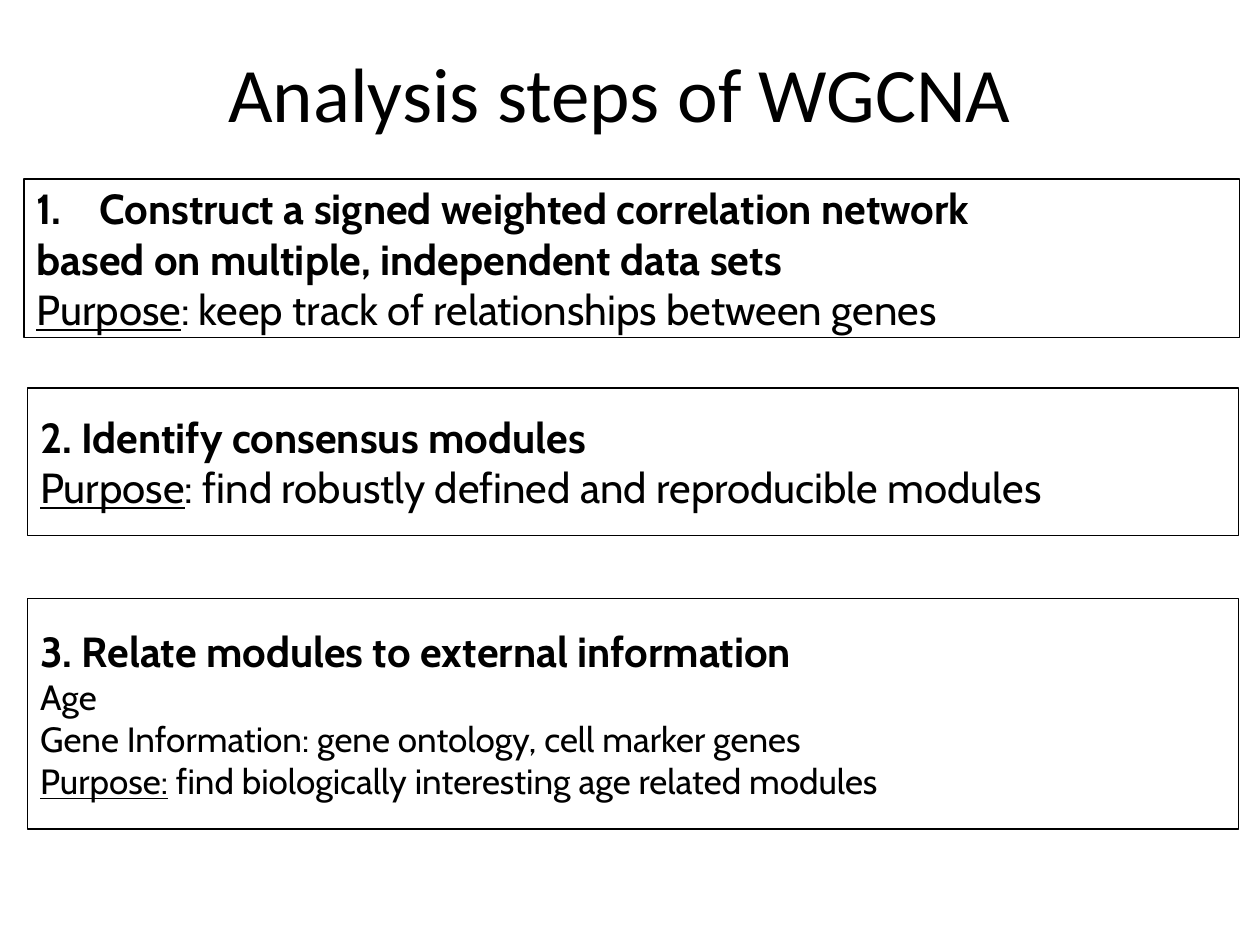
from dataclasses import dataclass

from lxml.etree import SubElement
from pptx import Presentation
from pptx.dml.color import RGBColor
from pptx.enum.shapes import MSO_SHAPE
from pptx.enum.text import MSO_ANCHOR, PP_ALIGN
from pptx.oxml.ns import qn
from pptx.util import Inches, Pt

COLORS = {"ink": "000000"}
HEADING = {"name": "Cabin", "size": Pt(24), "bold": True}
BODY = {"name": "Cabin", "size": Pt(24), "bold": False}
DETAIL = BODY | {"size": Pt(20)}
TITLE = {"name": "Calibri", "size": Pt(44)}
UNDERLINED = {"underline": True}


@dataclass
class Run:
    text: str
    style: dict


@dataclass
class Line:
    runs: list[Run]
    numbered: bool = False


@dataclass
class Step:
    left: float
    top: float
    width: float
    height: float
    lines: list[Line]


def purpose(label: str, text: str, style: dict) -> Line:
    return Line([Run(label, style | UNDERLINED), Run(text, style)])


STEPS = [
    Step(0.19, 1.42, 9.65, 1.26, [
        Line([Run("Construct a signed weighted correlation network", HEADING)], numbered=True),
        Line([Run("based on multiple, independent data sets", HEADING)]),
        purpose("Purpose", ": keep track of relationships between genes", BODY),
    ]),
    Step(0.22, 3.08, 9.61, 1.17, [
        Line([Run("2. Identify consensus modules", HEADING)]),
        purpose("Purpose", ": find robustly defined and reproducible modules", BODY),
    ]),
    Step(0.22, 4.75, 9.61, 1.83, [
        Line([Run("3. Relate modules to external information", HEADING)]),
        Line([Run("Age", DETAIL)]),
        Line([Run("Gene Information: gene ontology, cell marker genes", DETAIL)]),
        purpose("Purpose:", " find biologically interesting age related modules", DETAIL),
    ]),
]


def number_paragraph(p) -> None:
    """Give the paragraph an automatic number with a hanging indent."""
    ppr = p._p.get_or_add_pPr()
    ppr.set("marL", str(Inches(0.5)))
    ppr.set("indent", str(Inches(-0.5)))
    SubElement(ppr, qn("a:buFont"), typeface="+mj-lt")
    SubElement(ppr, qn("a:buAutoNum"), type="arabicPeriod")


def write_lines(tf, lines: list[Line], align: PP_ALIGN) -> None:
    tf.word_wrap = True
    tf.vertical_anchor = MSO_ANCHOR.MIDDLE
    for i, line in enumerate(lines):
        p = tf.paragraphs[0] if i == 0 else tf.add_paragraph()
        p.alignment = align
        if line.numbered:
            number_paragraph(p)
        for run in line.runs:
            r = p.add_run()
            r.text = run.text
            r.font.color.rgb = RGBColor.from_string(COLORS["ink"])
            for name, value in run.style.items():
                setattr(r.font, name, value)


def add_step(s, step: Step) -> None:
    sp = s.shapes.add_shape(MSO_SHAPE.RECTANGLE, Inches(step.left), Inches(step.top),
                            Inches(step.width), Inches(step.height))
    sp.shadow.inherit = False
    sp.fill.background()
    sp.line.color.rgb = RGBColor.from_string(COLORS["ink"])
    sp.line.width = Pt(0.75)
    write_lines(sp.text_frame, step.lines, PP_ALIGN.LEFT)


def main() -> None:
    prs = Presentation()
    prs.slide_width, prs.slide_height = Inches(10), Inches(7.5)
    s = prs.slides.add_slide(prs.slide_layouts[6])
    for step in STEPS:
        add_step(s, step)
    title = s.shapes.add_textbox(Inches(0.42), Inches(0.17), Inches(9), Inches(1.12))
    write_lines(title.text_frame, [Line([Run("Analysis steps of WGCNA", TITLE)])], PP_ALIGN.CENTER)
    prs.save("out.pptx")


if __name__ == "__main__":
    main()
